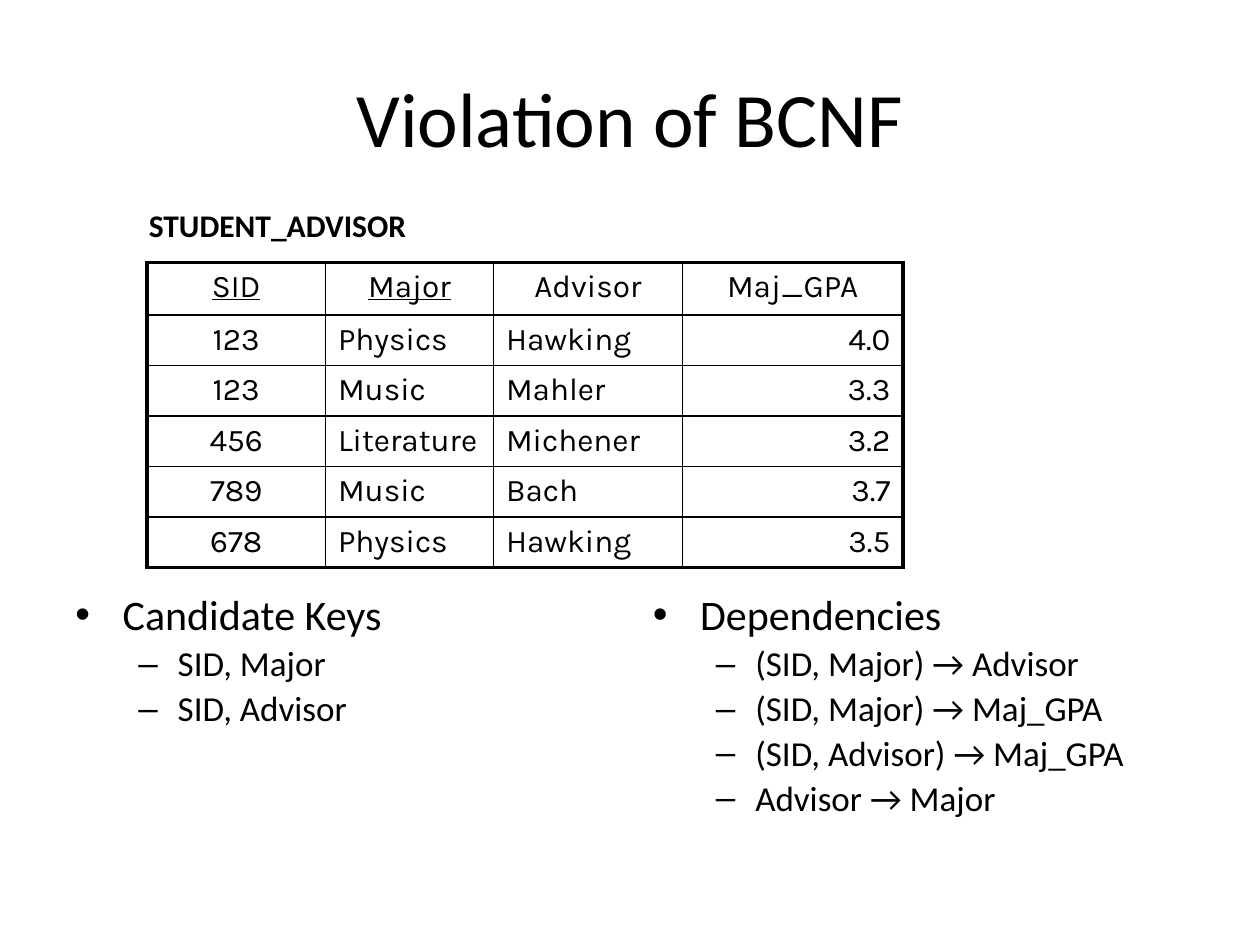
import pptx
import pptx.dml.color
import pptx.enum.text
import pptx.oxml
import pptx.oxml.ns
import pptx.util

Pt = pptx.util.Pt
ALIGN = pptx.enum.text.PP_ALIGN
ANCHOR = pptx.enum.text.MSO_ANCHOR
BLACK = "000000"

TITLE = "Violation of BCNF"
TABLE_NAME = "STUDENT_ADVISOR"
ROWS = [
    ("SID", "Major", "Advisor", "Maj_GPA"),
    ("123", "Physics", "Hawking", "4.0"),
    ("123", "Music", "Mahler", "3.3"),
    ("456", "Literature", "Michener", "3.2"),
    ("789", "Music", "Bach", "3.7"),
    ("678", "Physics", "Hawking", "3.5"),
]
KEY_COLUMNS = {"SID", "Major"}
COLUMN_WIDTHS = [102, 96, 108, 126]
COLUMN_ALIGN = [ALIGN.CENTER, ALIGN.LEFT, ALIGN.LEFT, ALIGN.RIGHT]
HEADER_HEIGHT, ROW_HEIGHT = 30, 28.3
LISTS = [
    ("Candidate Keys", ["SID, Major", "SID, Advisor"]),
    ("Dependencies", [
        "(SID, Major) → Advisor",
        "(SID, Major) → Maj_GPA",
        "(SID, Advisor) → Maj_GPA",
        "Advisor → Major",
    ]),
]
LIST_LEFT, LIST_STEP = 36, 330
# level: (text size, bullet, left margin, hanging indent, space before)
LEVELS = [(24, "•", 27, 27, 0), (20, "–", 58.5, 22.5, 4)]


def color(hex_value):
    """Turn a hex string into a colour."""
    return pptx.dml.color.RGBColor.from_string(hex_value)


def style(para, size, face="Calibri"):
    """Set the font of a paragraph."""
    para.font.size = Pt(size)
    para.font.name = face
    para.font.color.rgb = color(BLACK)


def add_box(page, left, top, width, height, wrap=True):
    """Add a text box and return its text frame."""
    frame = page.shapes.add_textbox(
        Pt(left), Pt(top), Pt(width), Pt(height)).text_frame
    frame.word_wrap = wrap
    return frame


def set_bullet(para, mark, margin, hang):
    """Give a paragraph a bullet with a hanging indent."""
    props = para._p.get_or_add_pPr()
    props.set("marL", str(Pt(margin)))
    props.set("indent", str(-Pt(hang)))
    for tag, key, value in (("a:buFont", "typeface", "Arial"),
                            ("a:buChar", "char", mark)):
        pptx.oxml.ns.qn(tag)
        node = pptx.oxml.parse_xml(
            f'<{tag} {pptx.oxml.ns.nsdecls("a")} {key}="{value}"/>')
        props.append(node)


def set_borders(cell, widths):
    """Draw the left, right, top and bottom borders of a cell."""
    props = cell._tc.get_or_add_tcPr()
    for index, (side, width) in enumerate(zip("LRTB", widths)):
        props.insert(index, pptx.oxml.parse_xml(
            f'<a:ln{side} {pptx.oxml.ns.nsdecls("a")} w="{Pt(width)}">'
            f'<a:solidFill><a:srgbClr val="{BLACK}"/></a:solidFill>'
            f'</a:ln{side}>'))


def add_list(page, left, heading, items):
    """Add a heading with its sub-items as a bulleted list."""
    frame = add_box(page, left, 336, 318, 147)
    for index, text in enumerate([heading] + items):
        level = min(index, 1)
        size, mark, margin, hang, before = LEVELS[level]
        para = frame.add_paragraph() if index else frame.paragraphs[0]
        para.text = text
        para.level = level
        para.line_spacing = 0.9
        para.space_before = Pt(before)
        style(para, size)
        set_bullet(para, mark, margin, hang)


def add_relation(page):
    """Add the table with a thick outer frame and thin inner lines."""
    last_row, last_column = len(ROWS) - 1, len(COLUMN_WIDTHS) - 1
    heights = [HEADER_HEIGHT] + [ROW_HEIGHT] * last_row
    table = page.shapes.add_table(
        len(ROWS), len(COLUMN_WIDTHS), Pt(84), Pt(150),
        Pt(sum(COLUMN_WIDTHS)), Pt(sum(heights))).table
    table.first_row = table.horz_banding = False
    for column, width in zip(table.columns, COLUMN_WIDTHS):
        column.width = Pt(width)
    for r, values in enumerate(ROWS):
        table.rows[r].height = Pt(heights[r])
        for c, value in enumerate(values):
            cell = table.cell(r, c)
            cell.text = value
            cell.fill.background()
            para = cell.text_frame.paragraphs[0]
            para.alignment = COLUMN_ALIGN[c] if r else ALIGN.CENTER
            style(para, 18, "Karla")
            if r == 0 and value in KEY_COLUMNS:
                para.runs[0].font.underline = True
            outer = (c == 0, c == last_column, r == 0, r == last_row)
            set_borders(cell, [2.25 if edge else 1 for edge in outer])


deck = pptx.Presentation()
deck.slide_width, deck.slide_height = Pt(720), Pt(540)
page = deck.slides.add_slide(deck.slide_layouts[6])

title = add_box(page, 36, 21.6, 648, 90)
title.vertical_anchor = ANCHOR.MIDDLE
title.text = TITLE
title.paragraphs[0].alignment = ALIGN.CENTER
style(title.paragraphs[0], 44)

for number, (heading, items) in enumerate(LISTS):
    add_list(page, LIST_LEFT + number * LIST_STEP, heading, items)

add_relation(page)

label = add_box(page, 78, 114, 196.5, 29, wrap=False)
label.text = TABLE_NAME
style(label.paragraphs[0], 18)
label.paragraphs[0].font.bold = True

deck.save("out.pptx")
